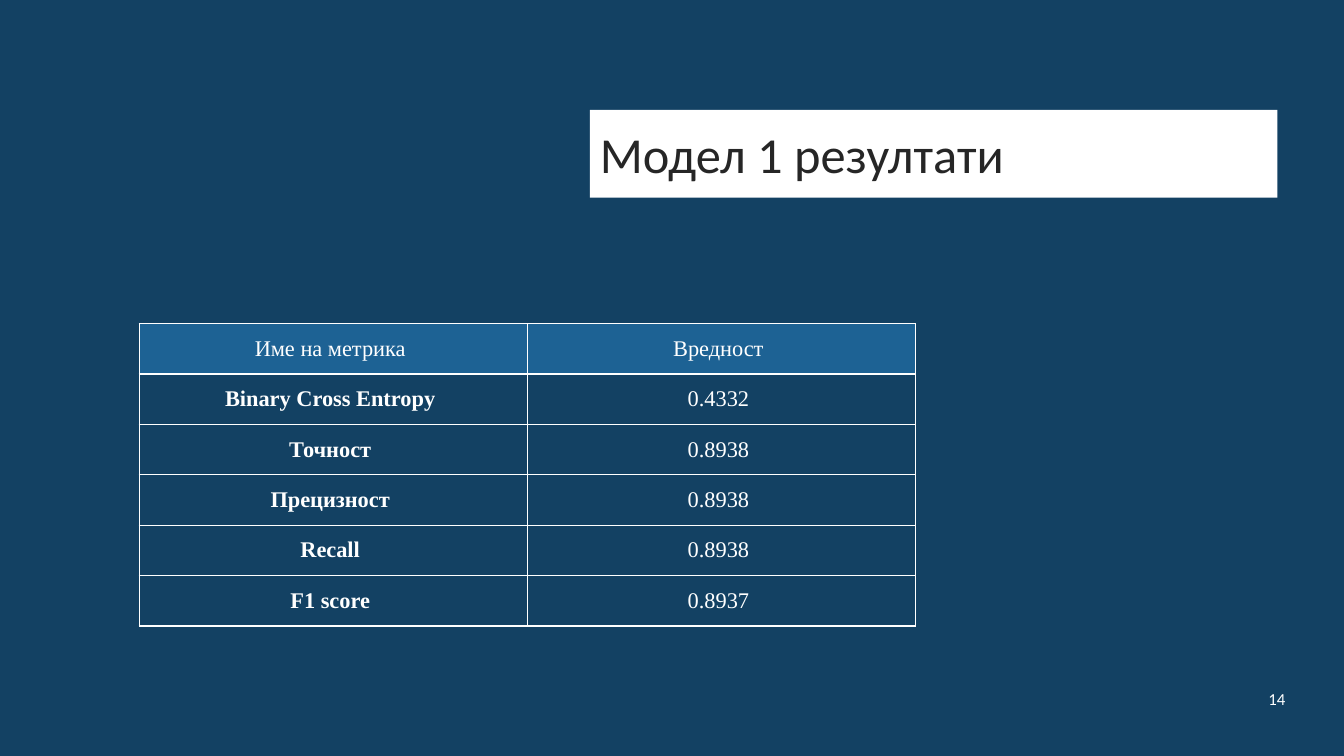
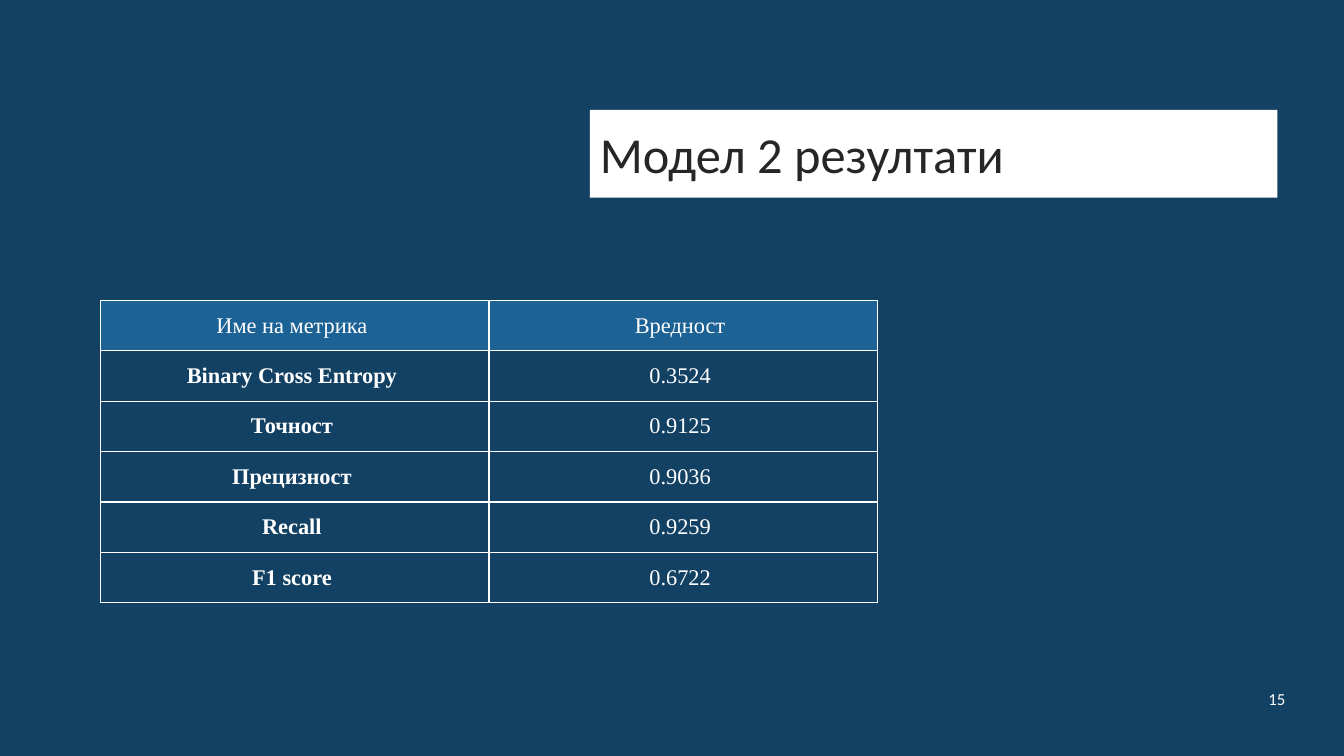
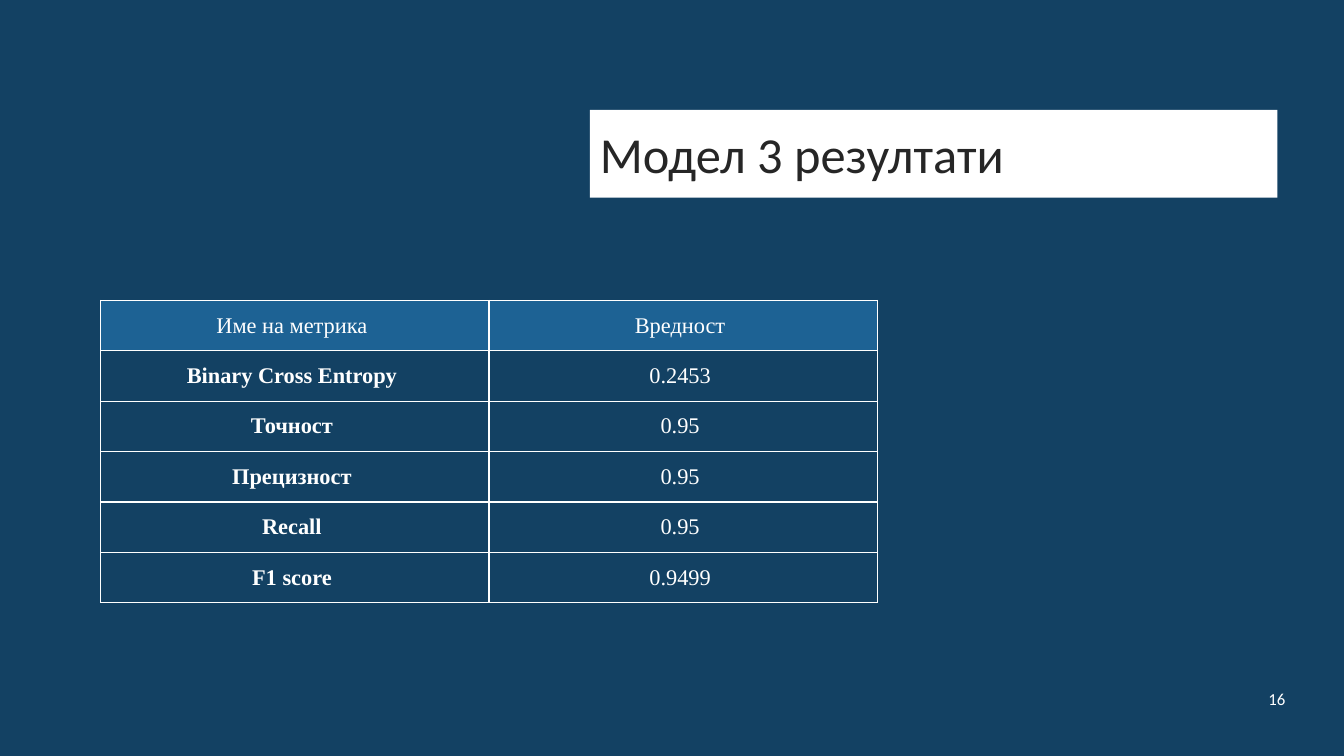
from dataclasses import dataclass

from lxml.etree import SubElement
from pptx import Presentation
from pptx.dml.color import RGBColor
from pptx.enum.shapes import MSO_SHAPE
from pptx.enum.text import MSO_ANCHOR, MSO_AUTO_SIZE, PP_ALIGN
from pptx.oxml.ns import qn
from pptx.util import Inches, Pt


@dataclass(frozen=True)
class Theme:
    navy: str = "134163"
    blue: str = "1D6294"
    white: str = "FFFFFF"
    ink: str = "262626"
    sans: str = "Calibri"
    serif: str = "Times New Roman"
    title_size: int = 36
    table_size: int = 16
    number_size: int = 12
    border: int = 1
    ring: int = 5


THEME = Theme()
FIRST_NUMBER = 14
HEADER = ("Име на метрика", "Вредност")
METRICS = ("Binary Cross Entropy", "Точност", "Прецизност", "Recall", "F1 score")
MODELS = [
    ("Модел 1 резултати", (1.38, 3.21), ("0.4332", "0.8938", "0.8938", "0.8938", "0.8937")),
    ("Модел 2 резултати", (1, 2.98), ("0.3524", "0.9125", "0.9036", "0.9259", "0.6722")),
    ("Модел 3 резултати", (1, 2.98), ("0.2453", "0.95", "0.95", "0.95", "0.9499")),
]
TITLE_BOX = (5.85, 1.09, 6.82, 0.87)
NUMBER_BOX = (12.45, 6.72, 0.43, 0.43)
COL_W, ROW_H = 3.85, 0.5
CELL_RIGHT = 0.16


def rgb(value):
    return RGBColor.from_string(value)


def style(p, face, size, color, align, bold=False):
    p.alignment = align
    p.font.name = face
    p.font.size = Pt(size)
    p.font.color.rgb = rgb(color)
    p.font.bold = bold


def add_title(s, text):
    sp = s.shapes.title
    sp.left, sp.top, sp.width, sp.height = map(Inches, TITLE_BOX)
    sp.fill.solid()
    sp.fill.fore_color.rgb = rgb(THEME.white)
    tf = sp.text_frame
    tf.text = text
    tf.auto_size = MSO_AUTO_SIZE.NONE
    tf.vertical_anchor = MSO_ANCHOR.MIDDLE
    style(tf.paragraphs[0], THEME.sans, THEME.title_size, THEME.ink, PP_ALIGN.LEFT)


def add_number(s, number):
    sp = s.shapes.add_shape(MSO_SHAPE.OVAL, *map(Inches, NUMBER_BOX))
    sp.shadow.inherit = False
    sp.fill.background()
    sp.line.color.rgb = rgb(THEME.navy)
    sp.line.width = Pt(THEME.ring)
    tf = sp.text_frame
    tf.text = str(number)
    tf.word_wrap = False
    tf.vertical_anchor = MSO_ANCHOR.MIDDLE
    tf.margin_left = tf.margin_right = tf.margin_top = tf.margin_bottom = 0
    style(tf.paragraphs[0], THEME.sans, THEME.number_size, THEME.white, PP_ALIGN.CENTER)


def add_borders(cell):
    tc_pr = cell._tc.get_or_add_tcPr()
    for side in ("lnL", "lnR", "lnT", "lnB"):
        ln = SubElement(tc_pr, qn(f"a:{side}"), w=str(Pt(THEME.border)))
        SubElement(SubElement(ln, qn("a:solidFill")), qn("a:srgbClr"), val=THEME.white)


def add_results(s, origin, values):
    rows = [HEADER, *zip(METRICS, values)]
    size = (COL_W * len(HEADER), ROW_H * len(rows))
    table = s.shapes.add_table(len(rows), len(HEADER), *map(Inches, origin + size)).table
    table.first_row = table.horz_banding = False
    for i, row in enumerate(rows):
        for j, text in enumerate(row):
            cell = table.cell(i, j)
            cell.text = text
            cell.vertical_anchor = MSO_ANCHOR.MIDDLE
            cell.margin_right = Inches(CELL_RIGHT)
            add_borders(cell)
            if i == 0:
                cell.fill.solid()
                cell.fill.fore_color.rgb = rgb(THEME.blue)
            else:
                cell.fill.background()
            style(cell.text_frame.paragraphs[0], THEME.serif, THEME.table_size,
                  THEME.white, PP_ALIGN.CENTER, bold=i > 0 and j == 0)


def main():
    prs = Presentation()
    prs.slide_width, prs.slide_height = Inches(13.33), Inches(7.5)
    background = prs.slide_master.background.fill
    background.solid()
    background.fore_color.rgb = rgb(THEME.navy)
    for number, (title, origin, values) in enumerate(MODELS, FIRST_NUMBER):
        s = prs.slides.add_slide(prs.slide_layouts[5])
        add_title(s, title)
        add_number(s, number)
        add_results(s, origin, values)
    prs.save("out.pptx")


if __name__ == "__main__":
    main()
